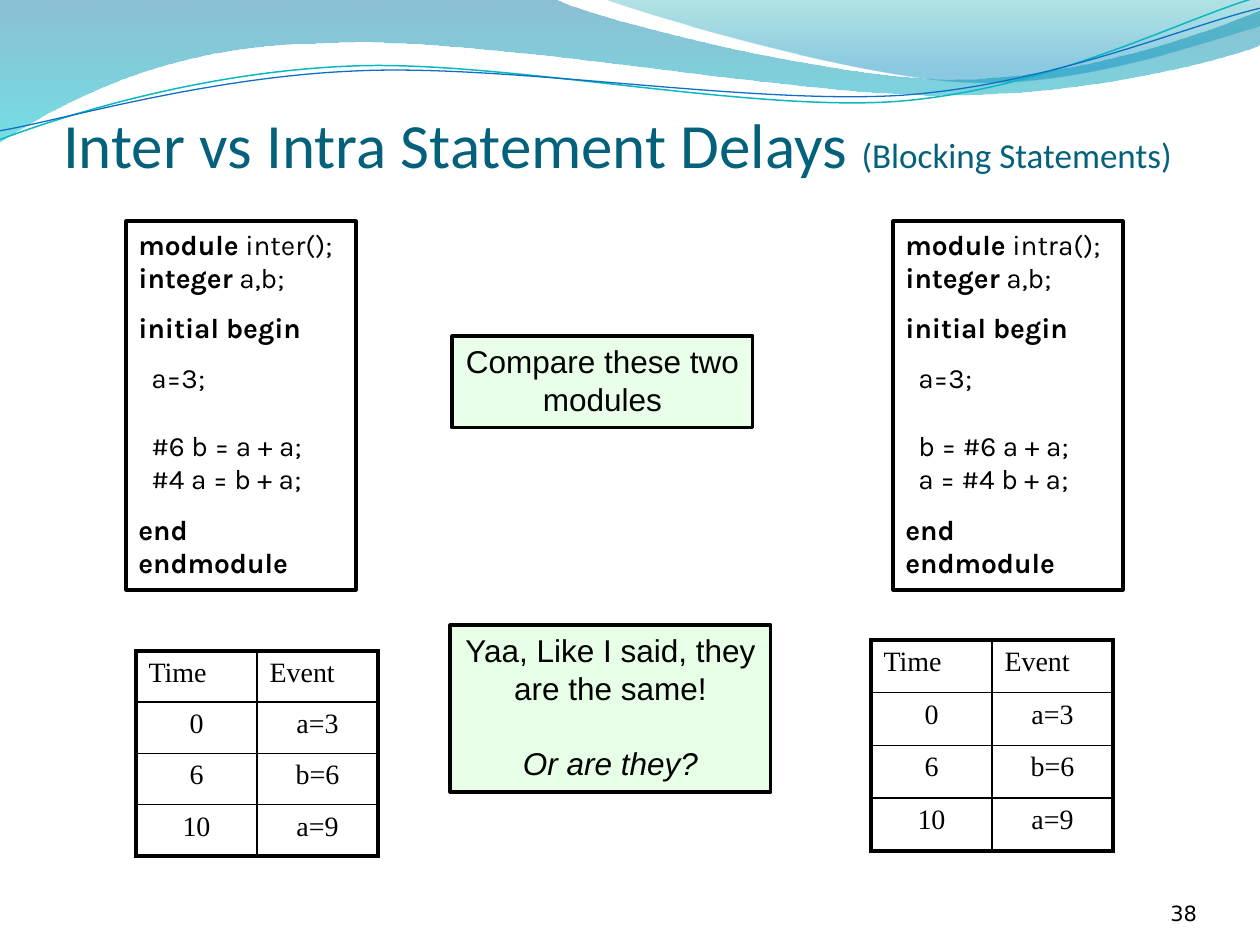
import lxml.etree
import pptx
import pptx.dml.color
import pptx.enum.shapes
import pptx.enum.text
import pptx.oxml.ns
import pptx.util

PIXEL = 914400 / 126
ALIGN = pptx.enum.text.PP_ALIGN
ANCHOR = pptx.enum.text.MSO_ANCHOR
AUTO_SIZE = pptx.enum.text.MSO_AUTO_SIZE
BLACK = "000000"

# Each wave is a start point, then curves (two controls and an end) or straight corners.
LEFT_WAVE = [(0, -1), [(554, -1)], [(600, 21), (837, 79), (955, 79)],
             [(1075, 79), (1207, 33), (1260, 11)], [(1261, 45)],
             [(1239, 55), (1096, 96), (940, 95)], [(784, 95), (481, 35), (324, 43)],
             [(163, 44), (58, 105), (-1, 142)]]
RIGHT_WAVE = [(604, -1), [(641, 14), (859, 78), (969, 82)],
              [(1079, 87), (1211, 40), (1260, 26)], [(1260, 0)]]
TEAL_LINE = [(-3, 110), [(59, 90), (199, 52), (350, 53)],
             [(499, 53), (745, 118), (896, 114)], [(1049, 109), (1184, 45), (1260, 27)]]
BLUE_LINE = [(-2, 101), [(57, 94), (207, 57), (357, 58)],
             [(509, 58), (750, 111), (902, 108)], [(1052, 104), (1187, 52), (1262, 38)]]
EVENTS = [("Time", "Event"), ("0", "a=3"), ("6", "b=6"), ("10", "a=9")]


def px(*lengths):
    """Turn pixel lengths into EMU."""
    return [round(length * PIXEL) for length in lengths]


def color(value):
    """Return the colour of a hex string."""
    return pptx.dml.color.RGBColor.from_string(value)


def add_child(parent, tag, **attributes):
    """Append an XML element such as a:alpha."""
    return lxml.etree.SubElement(parent, pptx.oxml.ns.qn(tag), attributes)


def set_alpha(shape, *percents):
    """Set the opacity of the fill colours, before any line is set."""
    colors = shape.element.spPr.iter(pptx.oxml.ns.qn("a:srgbClr"))
    for element, percent in zip(list(colors), percents):
        add_child(element, "a:alpha", val=str(percent * 1000))


def write(paragraph, text, font="Arial", size=18, fill=BLACK, bold=False,
          italic=False, align=ALIGN.LEFT, before=0):
    """Add one formatted run to a paragraph."""
    paragraph.alignment = align
    paragraph.space_before = pptx.util.Pt(before)
    run = paragraph.add_run()
    run.text = text
    run.font.name = font
    run.font.size = pptx.util.Pt(size)
    run.font.color.rgb = color(fill)
    run.font.bold = bold
    run.font.italic = italic


def next_paragraph(frame):
    """Return the first paragraph while it is empty, else a new one."""
    first = frame.paragraphs[0]
    return frame.add_paragraph() if first.runs else first


def set_frame(frame, anchor, top=0):
    """Set anchor and insets of a frame with fixed size."""
    frame.word_wrap = True
    frame.auto_size = AUTO_SIZE.NONE
    frame.vertical_anchor = anchor
    frame.margin_left = frame.margin_right = frame.margin_bottom = 0
    frame.margin_top = px(top)[0]


def add_curve(slide, path, close):
    """Draw a path as a freeform whose three-point segments are cubic curves."""
    start, *segments = path
    builder = slide.shapes.build_freeform(*px(*start), scale=1.0)
    builder.add_line_segments([px(*segment[-1]) for segment in segments], close=close)
    shape = builder.convert_to_shape()
    shape.shadow.inherit = False
    corners = list(shape.element.spPr.iter(pptx.oxml.ns.qn("a:lnTo")))
    for corner, segment in zip(corners, segments):
        if len(segment) == 3:
            curve = lxml.etree.Element(pptx.oxml.ns.qn("a:cubicBezTo"))
            for point in segment:
                x, y = px(*point)
                add_child(curve, "a:pt", x=str(x - shape.left), y=str(y - shape.top))
            corner.getparent().replace(corner, curve)
    return shape


def add_wave(slide, path, stops):
    """Draw a wave filled from top to bottom; stops are position, colour, opacity."""
    shape = add_curve(slide, path, True)
    shape.fill.gradient()
    shape.fill.gradient_angle = 270
    for stop, (position, value, _) in zip(shape.fill.gradient_stops, stops):
        stop.position = position
        stop.color.rgb = color(value)
    set_alpha(shape, *[opacity for _, _, opacity in stops])
    shape.line.fill.background()


def add_wave_line(slide, path, value, width):
    """Draw an open curved line, tilted slightly."""
    shape = add_curve(slide, path, False)
    shape.rotation = 357.3
    shape.fill.background()
    shape.line.color.rgb = color(value)
    shape.line.width = pptx.util.Pt(width)


def add_box(slide, box, opacity=0):
    """Add an outlined box, pale green if it has an opacity, and return its frame."""
    shape = slide.shapes.add_shape(pptx.enum.shapes.MSO_SHAPE.RECTANGLE, *px(*box))
    shape.shadow.inherit = False
    if opacity:
        shape.fill.solid()
        shape.fill.fore_color.rgb = color("CCFFCC")
        set_alpha(shape, opacity)
    else:
        shape.fill.background()
    shape.line.color.rgb = color(BLACK)
    shape.line.width = pptx.util.Pt(1.75)
    frame = shape.text_frame
    frame.word_wrap = False
    frame.auto_size = AUTO_SIZE.SHAPE_TO_FIT_TEXT
    frame.vertical_anchor = ANCHOR.TOP
    return frame


def add_note(slide, box, opacity, lines):
    """Add a green note; lines are text and keyword formats."""
    frame = add_box(slide, box, opacity)
    for text, formats in lines:
        write(next_paragraph(frame), text, align=ALIGN.CENTER, **formats)


def add_code(slide, left, name, statements):
    """Add the listing of one module; lines are keyword, plain text, gap before."""
    frame = add_box(slide, (left, 221, 230, 369))
    lines = [("module", f" {name}();", 0), ("integer", " a,b;", 0),
             ("initial begin", "", 9.5), ("", "a=3;", 9.2), ("", statements[0], 19.5),
             ("", statements[1], 0), ("end", "", 9.5), ("endmodule", "", 0)]
    for keyword, plain, gap in lines:
        paragraph = next_paragraph(frame)
        if not keyword:
            paragraph._p.get_or_add_pPr().set("marL", str(px(13)[0]))
        for text, bold in ((keyword, True), (plain, False)):
            if text:
                write(paragraph, text, font="Karla", size=16, bold=bold, before=gap)


def set_borders(cell, outer_sides):
    """Draw the cell borders, thicker on the outer sides."""
    properties = cell._tc.get_or_add_tcPr()
    for side in "LRTB":
        width = pptx.util.Pt(2.25 if side in outer_sides else 1)
        line = add_child(properties, f"a:ln{side}", w=str(width))
        add_child(add_child(line, "a:solidFill"), "a:srgbClr", val=BLACK)


def add_events(slide, box):
    """Add a table of times and events."""
    last = len(EVENTS) - 1
    table = slide.shapes.add_table(len(EVENTS), 2, *px(*box)).table
    table.first_row = table.horz_banding = False
    for row, texts in enumerate(EVENTS):
        for column, text in enumerate(texts):
            cell = table.cell(row, column)
            set_borders(cell, "LR"[column] + {0: "T", last: "B"}.get(row, ""))
            cell.fill.background()
            write(cell.text_frame.paragraphs[0], text, font="Times New Roman", size=16,
                  align=ALIGN.CENTER if row else ALIGN.LEFT)


def add_title(slide):
    """Fill the title placeholder and bring it in front of the waves."""
    title = slide.shapes.title
    title.left, title.top, title.width, title.height = px(63, 23, 1158, 158)
    title.element.getparent().append(title.element)
    set_frame(title.text_frame, ANCHOR.BOTTOM, top=6)
    for text, size in (("Inter vs Intra Statement Delays ", 36), ("(Blocking Statements)", 20)):
        write(title.text_frame.paragraphs[0], text, font="Calibri", size=size, fill="04617B")


def add_page_number(slide):
    """Add the page number at the lower right."""
    frame = slide.shapes.add_textbox(*px(1092, 876, 105, 50)).text_frame
    set_frame(frame, ANCHOR.BOTTOM)
    write(frame.paragraphs[0], "38", font="DejaVu Sans", size=12, align=ALIGN.RIGHT)


def main():
    """Build and save the slide."""
    presentation = pptx.Presentation()
    presentation.slide_width, presentation.slide_height = px(1260, 945)
    slide = presentation.slides.add_slide(presentation.slide_layouts[5])
    add_wave(slide, LEFT_WAVE, [(0, "0074A1", 45), (1, "00C6CF", 55)])
    add_wave(slide, RIGHT_WAVE, [(0, "00A1A9", 30), (0.8, "008BBF", 45)])
    add_wave_line(slide, TEAL_LINE, "0AB8BF", 0.85)
    add_wave_line(slide, BLUE_LINE, "0F6FC6", 0.75)
    add_title(slide)
    add_events(slide, (136, 651, 242, 205))
    add_events(slide, (871, 640, 242, 211))
    add_page_number(slide)
    add_code(slide, 893, "intra", ("b = #6 a + a;", "a = #4 b + a;"))
    add_code(slide, 126, "inter", ("#6 b = a + a;", "#4 a = b + a;"))
    add_note(slide, (452, 336, 301, 92), 43, [("Compare these two", {}), ("modules", {})])
    add_note(slide, (450, 625, 321, 167), 47,
             [("Yaa, Like I said, they", {}), ("are the same!", {}),
              ("Or are they?", {"italic": True, "before": 21})])
    presentation.save("out.pptx")


main()
